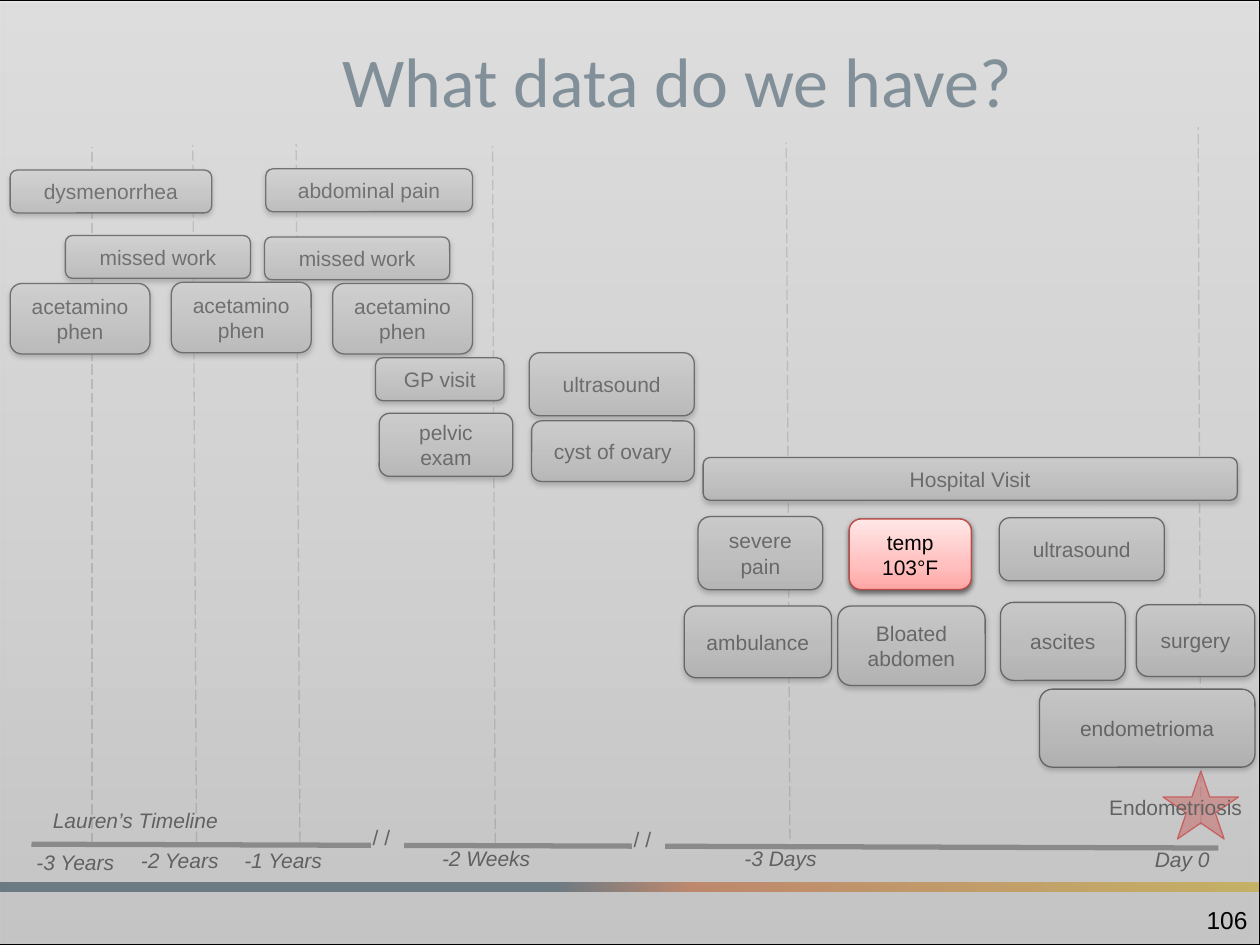
from lxml.etree import SubElement
from pptx import Presentation
from pptx.dml.color import RGBColor
from pptx.enum.dml import MSO_LINE
from pptx.enum.shapes import MSO_CONNECTOR, MSO_SHAPE
from pptx.enum.text import MSO_ANCHOR as Anchor, PP_ALIGN as Align
from pptx.oxml.ns import qn
from pptx.util import Pt

COLORS = {"black": "000000", "white": "FFFFFF", "title": "20425A", "guide": "BFBFBF",
          "axis": "666666", "star": "FF0000", "alert": "BF4C48"}
GRAY = [(0, "BDBDBD"), (35, "D1D1D1"), (100, "EEEEEE")]
PINK = [(0, "FFA6A5"), (35, "FFC0BF"), (100, "FFE7E7")]
BAR = [(0, "20425A"), (44, "20425A"), (55, "EB6622"), (100, "FCCB10")]

ROW = 24.5  # height of a one-line event
PILL = (79.9, 40.3)
TEMPERATURE = ("temp 103°F", 485.3, 296.6, 69.8, 40.3)

# Text, left, top, width, height
EVENTS = [
    ("dysmenorrhea", 5.8, 97.2, 115.2, ROW),
    ("abdominal pain", 151.9, 96.5, 118.1, ROW),
    ("missed work", 37.4, 134.6, 105.8, ROW),
    ("missed work", 151.2, 135.4, 105.8, ROW),
    ("acetaminophen", 5.8, 162, *PILL),
    ("acetaminophen", 97.9, 161.3, *PILL),
    ("acetaminophen", 190.1, 162, *PILL),
    ("GP visit", 214.6, 204.5, 73.4, ROW),
    ("pelvic exam", 216.7, 236.2, 76.3, 36),
    ("ultrasound", 302.4, 201.6, 94.3, 36),
    ("cyst of ovary", 303.8, 240.5, 92.9, 34.6),
    ("Hospital Visit", 401.8, 261.4, 305.3, ROW),
    ("severe pain", 398.9, 295.2, 71.3, 41.8),
    TEMPERATURE,
    ("ultrasound", 571, 295.9, 94.3, 36),
    ("ambulance", 391, 346.3, 84.2, 41),
    ("Bloated abdomen", 478.8, 346.3, 84.2, 45.4),
    ("ascites", 571.7, 344.2, 71.3, 44.6),
    ("surgery", 649.4, 345.6, 67.7, 41),
    ("endometrioma", 594, 393.8, 123.1, 44.6),
]
# Bottom x, bottom y, top x, top y
GUIDES = [
    (686.2, 471.6, 684.7, 72.7), (451.4, 479.5, 449.3, 81.4), (283, 481.7, 281.5, 83.5),
    (171.4, 481, 169.2, 82.1), (112.3, 481, 110.2, 82.8), (52.6, 481.7, 52.6, 84.2),
]
# Text, left, top
DATES = [
    ("-3 Years", 13.7, 481.7), ("-2 Years", 73.4, 481), ("-1 Years", 132.5, 481),
    ("-2 Weeks", 245.5, 479.5), ("-3 Days", 418.3, 479.5), ("Day 0", 652.8, 480.2),
]
BREAKS = [(213.1, 471.6), (362.2, 472.6)]


def rgb(name):
    return RGBColor.from_string(COLORS[name])


def set_alpha(color_element, percent):
    SubElement(color_element, qn("a:alpha"), val=str(percent * 1000))


def fill_gradient(shape, stops, angle, alpha=None):
    shape.fill.gradient()
    shape.fill.gradient_angle = angle
    stop_list = shape._element.spPr.find(qn("a:gradFill")).find(qn("a:gsLst"))
    for stop in list(stop_list):
        stop_list.remove(stop)
    for position, value in stops:
        stop = SubElement(stop_list, qn("a:gs"), pos=str(position * 1000))
        color = SubElement(stop, qn("a:srgbClr"), val=value)
        if alpha:
            set_alpha(color, alpha)


def add_shadow(shape):
    effects = shape._element.spPr.find(qn("a:effectLst"))
    shadow = SubElement(effects, qn("a:outerShdw"), blurRad=str(Pt(3.1)), dist=str(Pt(1.6)),
                        dir="5400000", rotWithShape="0")
    set_alpha(SubElement(shadow, qn("a:srgbClr"), val=COLORS["black"]), 38)


def add_shape(slide, kind, box, line=None, width=0.75):
    shape = slide.shapes.add_shape(kind, *map(Pt, box))
    shape.shadow.inherit = False
    if line:
        shape.line.color.rgb = rgb(line)
        shape.line.width = Pt(width)
    else:
        shape.line.fill.background()
    return shape


def write(shape, text, align=Align.CENTER, anchor=Anchor.MIDDLE, size=12, italic=False,
          font="Arial", color="black"):
    frame = shape.text_frame
    frame.word_wrap = True
    frame.vertical_anchor = anchor
    paragraph = frame.paragraphs[0]
    paragraph.text = text
    paragraph.alignment = align
    paragraph.font.name = font
    paragraph.font.size = Pt(size)
    paragraph.font.italic = italic
    paragraph.font.color.rgb = rgb(color)


def add_text(slide, text, box, **style):
    write(slide.shapes.add_textbox(*map(Pt, box)), text, **style)


def add_event(slide, event, stops=GRAY, line="black"):
    text, *box = event
    shape = add_shape(slide, MSO_SHAPE.ROUNDED_RECTANGLE, box, line)
    fill_gradient(shape, stops, 90)
    add_shadow(shape)
    write(shape, text)


def add_line(slide, ends, color, width, dash=None):
    line = slide.shapes.add_connector(MSO_CONNECTOR.STRAIGHT, *map(Pt, ends))
    line.line.color.rgb = rgb(color)
    line.line.width = Pt(width)
    if dash:
        line.line.dash_style = dash
    SubElement(line._element.spPr, qn("a:effectLst"))


def add_axis_break(slide, left, top):
    mask = add_shape(slide, MSO_SHAPE.RECTANGLE, (left, top, 16.6, 18.7), "white", 2)
    mask.fill.solid()
    mask.fill.fore_color.rgb = rgb("white")
    add_text(slide, "/ /", (left - 7.2, top - 4.1, 46.8, 21.6),
             align=Align.LEFT, anchor=Anchor.TOP)


def add_title(slide, text):
    title = slide.shapes.title
    title.left, title.top, title.width, title.height = map(Pt, (90, 12.2, 594, 66.2))
    write(title, text, size=40, font="Calibri", color="title")


def add_diagnosis(slide):
    star = add_shape(slide, MSO_SHAPE.STAR_5_POINT, (664.6, 440.6, 43.2, 38.9), "star")
    star.fill.solid()
    star.fill.fore_color.rgb = rgb("star")
    set_alpha(star._element.spPr.find(qn("a:solidFill"))[0], 50)
    add_text(slide, "Endometriosis", (614.9, 436.3, 113.8, 50.4))


def main():
    presentation = Presentation()
    presentation.slide_width, presentation.slide_height = Pt(720), Pt(540)
    slide = presentation.slides.add_slide(presentation.slide_layouts[5])

    # Title and footer bar
    add_title(slide, "What data do we have?")
    fill_gradient(add_shape(slide, MSO_SHAPE.RECTANGLE, (0, 504, 720, 5.8)), BAR, 0)

    # Date guides and time axis
    for guide in GUIDES:
        add_line(slide, guide, "guide", 0.75, MSO_LINE.LONG_DASH)
    add_line(slide, (18, 482.4, 696.2, 484.6), "axis", 3)
    add_text(slide, "Lauren’s Timeline", (0.7, 443.5, 153.4, 50.4), italic=True)

    # Events, diagnosis and dates
    add_diagnosis(slide)
    for event in EVENTS:
        add_event(slide, event)
    for text, left, top in DATES:
        add_text(slide, text, (left, top, 77.8, 21.6),
                 align=Align.LEFT, anchor=Anchor.TOP, italic=True)
    for left, top in BREAKS:
        add_axis_break(slide, left, top)

    # Translucent veil that dims everything but the temperature
    veil = add_shape(slide, MSO_SHAPE.RECTANGLE, (-0.7, 0, 720.7, 540), "black")
    fill_gradient(veil, GRAY, 90, alpha=50)
    add_shadow(veil)
    add_event(slide, TEMPERATURE, PINK, "alert")

    # Page number
    add_text(slide, "106", (552.2, 511.2, 167.8, 28.8), align=Align.RIGHT, size=14)

    presentation.save("out.pptx")


if __name__ == "__main__":
    main()
